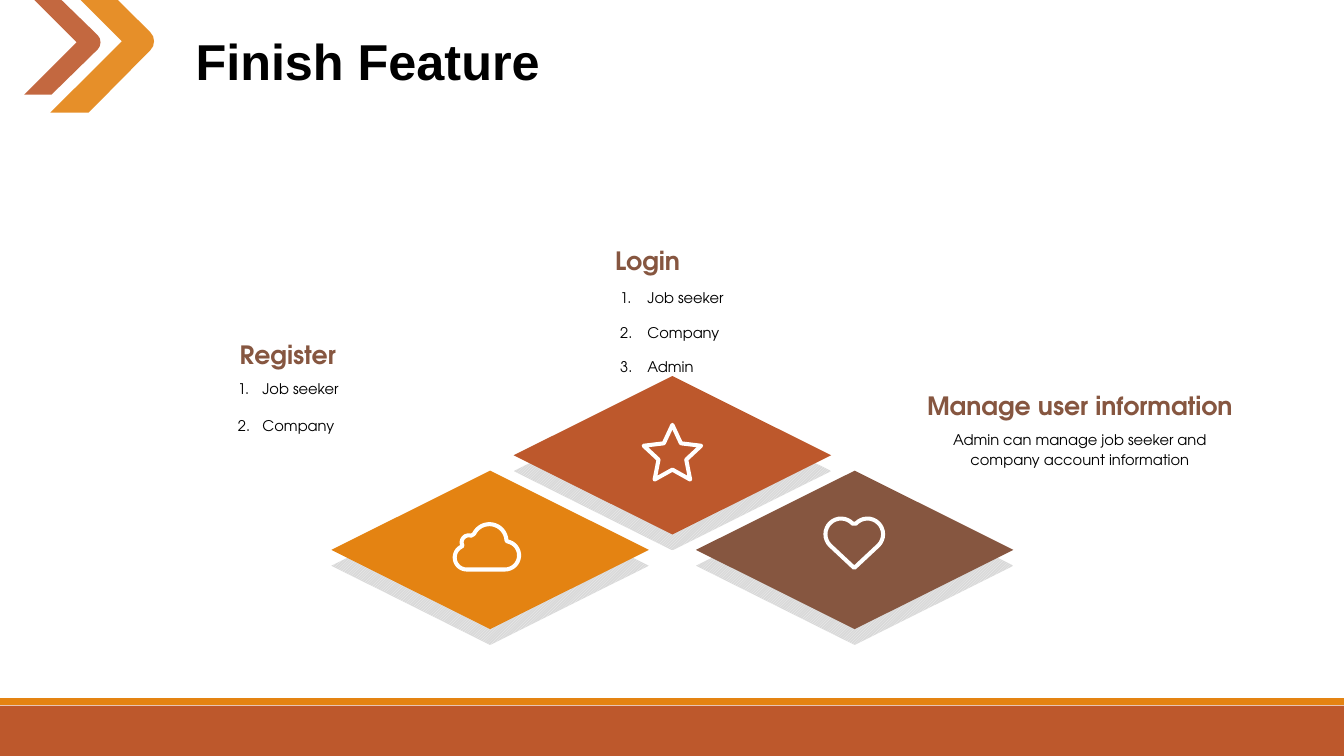
"""Build the Finish Feature slide: three diamonds with icons and their captions."""
from math import cos, pi, radians, sin

from lxml import etree
from pptx import Presentation
from pptx.dml.color import RGBColor
from pptx.enum.dml import MSO_PATTERN
from pptx.enum.shapes import MSO_SHAPE
from pptx.enum.text import MSO_ANCHOR, MSO_AUTO_SIZE, PP_ALIGN
from pptx.oxml.ns import qn
from pptx.util import Pt

RECTANGLE, DIAMOND = MSO_SHAPE.RECTANGLE, MSO_SHAPE.DIAMOND
HATCH = MSO_PATTERN.LIGHT_UPWARD_DIAGONAL
TOP, MIDDLE = MSO_ANCHOR.TOP, MSO_ANCHOR.MIDDLE
LEFT, CENTER = PP_ALIGN.LEFT, PP_ALIGN.CENTER
NO_AUTOFIT = MSO_AUTO_SIZE.NONE

ORANGE, RUST, BROWN = "E48312", "BD582C", "865640"
WHITE, BLACK = "FFFFFF", "000000"
HATCH_LIGHT, HATCH_DARK = "F2F2F2", "D9D9D9"
TITLE_FONT, TEXT_FONT = "Arial", "TeX Gyre Adventor"
COMPARISON_LAYOUT = 4

TITLE = ("Finish Feature", (132.5, 17.3, 330.5, 51))
REGISTER = ("Register", (121.7, 239, 167.8, 29))
REGISTER_LIST = (["Job seeker", "Company"], (162.8, 265.7, 126, 50), 17.5, 12)
LOGIN = ("Login", (378.7, 171.4, 167.8, 29))
LOGIN_LIST = (["Job seeker", "Company", "Admin"], (435.8, 200.9, 126, 68), 19.5, 10.4)
MANAGE = ("Manage user information", (649.4, 275, 244, 29))
MANAGE_TEXT = ("Admin can manage job seeker and company account information",
               (649.4, 302.4, 244, 35.3))

BARS = [(RUST, 504, 36), (ORANGE, 498.6, 5)]
DIAMOND_SIZE = (226.8, 113.2)
DIAMOND_LEFT, DIAMOND_STEP, SHADOW_DROP = 236.7, 130.2, 11.3
DIAMONDS = [(ORANGE, 336.2), (RUST, 268.6), (BROWN, 336.2)]

CHEVRONS = [
    (ORANGE, [(36, 80.4), (63.4, 80.4), (107.3, 36), (109.4, 33), (110, 29.5), (109.4, 26),
              (107.3, 23), (84.2, 0), (57.6, 0), (87.1, 29.5)]),
    (RUST, [(17.3, 67.7), (36.7, 67.7), (69.8, 35.3), (71.3, 33), (71.8, 30.2), (71.3, 27.5),
            (69.8, 25.2), (43.9, 0), (24.5, 0), (54.7, 30.2)]),
]
STAR = (480.3, 325.1, 21.6, 10.4)
CLOUD_ARCS = [(333.4, 398.2, 8.6, 90, 235), (334.8, 387.4, 5, 150, 290),
              (349.6, 386.6, 12.2, 205, 357), (360.7, 396.7, 10.1, 280, 450)]
HEART_MIDDLE, HEART_TIP = 610.2, 405.7
HEART_LOBE = (600.8, 381.6, 11.2, 135, 318)
ICON_LINE, ARC_STEPS = 2.9, 16


def color(value):
    return RGBColor.from_string(value)


def arc(center_x, center_y, radius, start, end):
    angles = [radians(start + (end - start) * step / ARC_STEPS) for step in range(ARC_STEPS + 1)]
    return [(center_x + radius * cos(angle), center_y + radius * sin(angle)) for angle in angles]


def star_points(center_x, center_y, outer, inner):
    points = []
    for corner in range(10):
        radius = inner if corner % 2 else outer
        angle = corner * pi / 5
        points.append((center_x + radius * sin(angle), center_y - radius * cos(angle)))
    return points


def cloud_points():
    return [point for lobe in CLOUD_ARCS for point in arc(*lobe)]


def heart_points():
    left_lobe = arc(*HEART_LOBE)
    right_lobe = [(2 * HEART_MIDDLE - x, y) for x, y in reversed(left_lobe)]
    return left_lobe + right_lobe + [(HEART_MIDDLE, HEART_TIP)]


def place(shape, box):
    shape.left, shape.top, shape.width, shape.height = (Pt(length) for length in box)


def add_preset(slide, preset, box, fill=None):
    shape = slide.shapes.add_shape(preset, *(Pt(length) for length in box))
    shape.shadow.inherit = False
    shape.line.fill.background()
    if fill:
        shape.fill.solid()
        shape.fill.fore_color.rgb = color(fill)
    else:
        shape.fill.patterned()
        shape.fill.pattern = HATCH
        shape.fill.fore_color.rgb = color(HATCH_LIGHT)
        shape.fill.back_color.rgb = color(HATCH_DARK)


def add_outline(slide, points):
    corners = [(Pt(x), Pt(y)) for x, y in points]
    builder = slide.shapes.build_freeform(*corners[0])
    builder.add_line_segments(corners[1:], close=True)
    shape = builder.convert_to_shape()
    shape.shadow.inherit = False
    return shape


def add_chevron(slide, fill, points):
    shape = add_outline(slide, points)
    shape.line.fill.background()
    shape.fill.solid()
    shape.fill.fore_color.rgb = color(fill)
    solid = shape.fill._xPr.find(qn("a:solidFill"))
    etree.SubElement(solid[0], qn("a:alpha"), val="90000")


def add_icon(slide, points):
    shape = add_outline(slide, points)
    shape.fill.background()
    shape.line.color.rgb = color(WHITE)
    shape.line.width = Pt(ICON_LINE)
    etree.SubElement(shape.line._get_or_add_ln(), qn("a:round"))


def write(shape, lines, box, size, ink, bold=False, font=TEXT_FONT, align=CENTER,
          anchor=TOP, spacing=1.0, gap=0, number_indent=0):
    place(shape, box)
    frame = shape.text_frame
    frame.word_wrap = True
    frame.auto_size = NO_AUTOFIT
    frame.vertical_anchor = anchor
    for index, line in enumerate(lines):
        paragraph = frame.add_paragraph() if index else frame.paragraphs[0]
        paragraph.alignment = align
        paragraph.line_spacing = spacing
        paragraph.space_before = Pt(gap if index else 0)
        properties = paragraph._p.get_or_add_pPr()
        properties.set("marL", str(Pt(number_indent)))
        properties.set("indent", str(-Pt(number_indent)))
        if number_indent:
            etree.SubElement(properties, qn("a:buAutoNum"), type="arabicPeriod")
        else:
            etree.SubElement(properties, qn("a:buNone"))
        run = paragraph.add_run()
        run.text = line
        run.font.name = font
        run.font.size = Pt(size)
        run.font.bold = bold
        run.font.color.rgb = color(ink)


def main():
    presentation = Presentation()
    presentation.slide_width, presentation.slide_height = Pt(960), Pt(540)
    slide = presentation.slides.add_slide(presentation.slide_layouts[COMPARISON_LAYOUT])

    for fill, top, height in BARS:
        add_preset(slide, RECTANGLE, (0, top, 960, height), fill)
    for index, (fill, top) in enumerate(DIAMONDS):
        left = DIAMOND_LEFT + index * DIAMOND_STEP
        add_preset(slide, DIAMOND, (left, top + SHADOW_DROP, *DIAMOND_SIZE))
        add_preset(slide, DIAMOND, (left, top, *DIAMOND_SIZE), fill)
    for points in (star_points(*STAR), cloud_points(), heart_points()):
        add_icon(slide, points)
    for fill, points in CHEVRONS:
        add_chevron(slide, fill, points)

    title, register, register_list, login, login_list = slide.placeholders
    manage, manage_text = (slide.shapes.add_textbox(0, 0, 0, 0) for _ in range(2))
    write(title, [TITLE[0]], TITLE[1], 36, BLACK, True, TITLE_FONT, LEFT, MIDDLE)
    for shape, (heading, box) in ((register, REGISTER), (login, LOGIN), (manage, MANAGE)):
        write(shape, [heading], box, 18, BROWN, True)
    for shape, (items, box, indent, gap) in ((register_list, REGISTER_LIST),
                                             (login_list, LOGIN_LIST)):
        write(shape, items, box, 10.5, BLACK, align=LEFT, spacing=1.14, gap=gap,
              number_indent=indent)
    write(manage_text, [MANAGE_TEXT[0]], MANAGE_TEXT[1], 10.5, BLACK, spacing=1.14)
    presentation.save("out.pptx")


if __name__ == "__main__":
    main()
